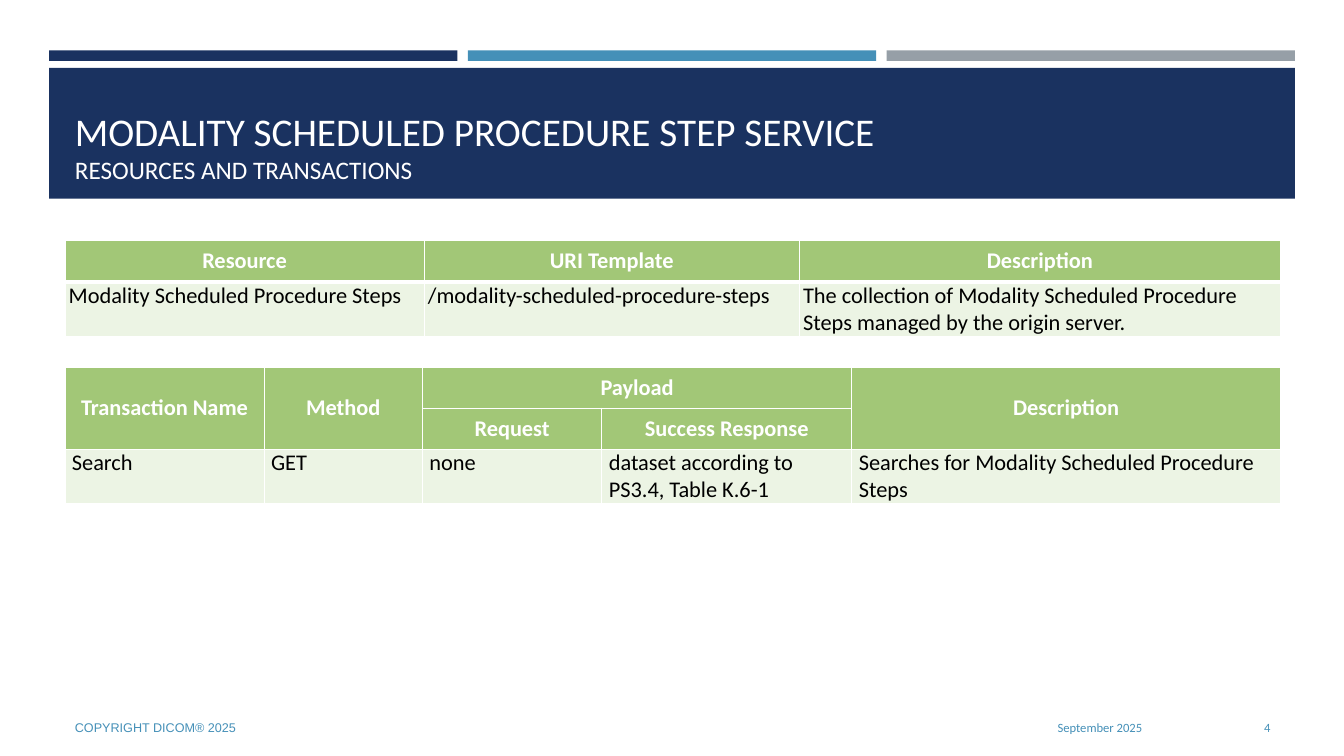
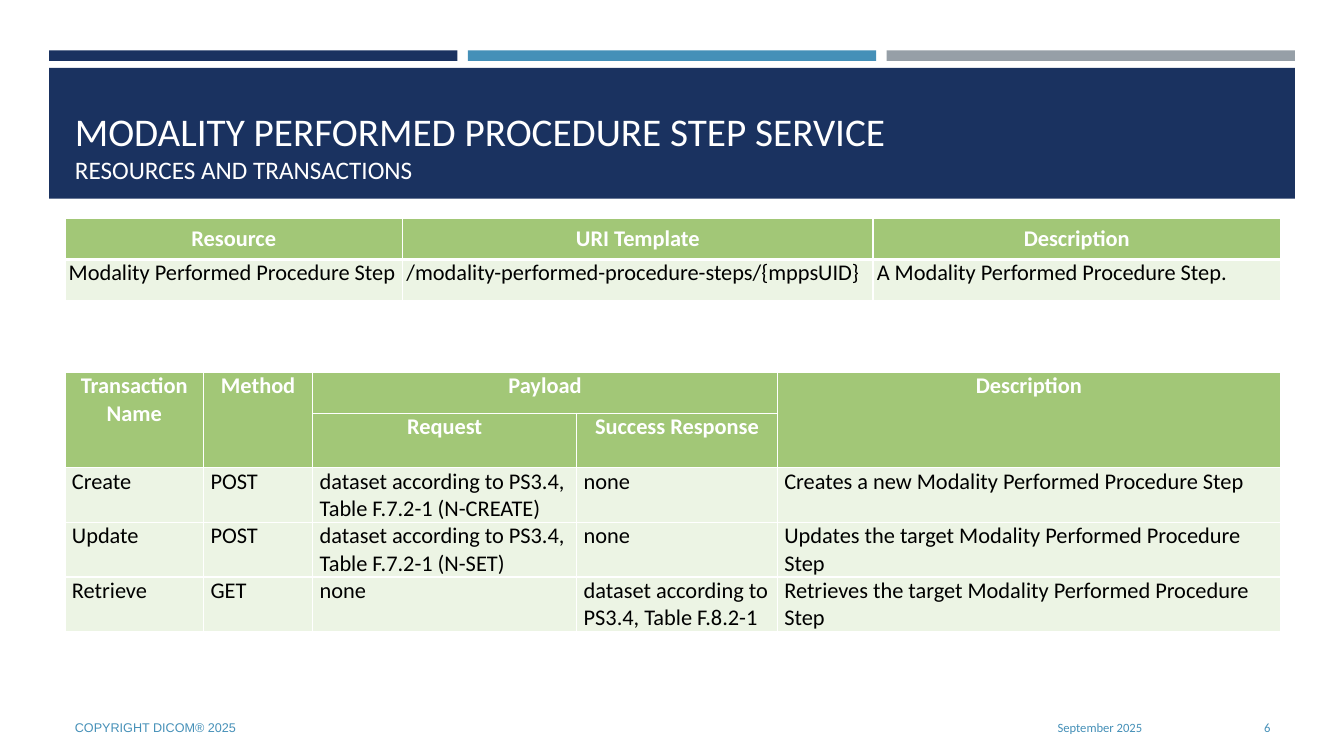
from lxml import etree
from pptx import Presentation
from pptx.dml.color import RGBColor
from pptx.enum.shapes import MSO_SHAPE
from pptx.enum.text import MSO_ANCHOR, PP_ALIGN
from pptx.oxml.ns import qn
from pptx.util import Pt

RECTANGLE = MSO_SHAPE.RECTANGLE
TOP, MIDDLE, BOTTOM = MSO_ANCHOR.TOP, MSO_ANCHOR.MIDDLE, MSO_ANCHOR.BOTTOM
LEFT, CENTER, RIGHT = PP_ALIGN.LEFT, PP_ALIGN.CENTER, PP_ALIGN.RIGHT

NAVY = RGBColor(0x1A, 0x32, 0x60)
BLUE = RGBColor(0x45, 0x90, 0xB8)
GRAY = RGBColor(0x96, 0x9F, 0xA7)
GREEN = RGBColor(0xA2, 0xC7, 0x77)
PALE_GREEN = RGBColor(0xEC, 0xF4, 0xE4)
WHITE = RGBColor(0xFF, 0xFF, 0xFF)
BLACK = RGBColor(0, 0, 0)

SLIDE_WIDTH, SLIDE_HEIGHT = 960, 540
BAND_LEFT, BAND_WIDTH, BAND_GAP = 35, 890, 7.5
CONTENT_LEFT, CONTENT_WIDTH = 46.4, 868.3
FOOTER_TOP, FOOTER_HEIGHT = 505.4, 28.8
ONE_LINE, TWO_LINES = 29.2, 39

RESOURCE_HEADER = ["Resource", "URI Template", "Description"]
TRANSACTION_HEADER = [
    ["Transaction Name", "Method", "Payload", "", "Description"],
    ["", "", "Request", "Success Response", ""],
]
# First and last (row, column) of each merged header cell
TRANSACTION_MERGES = [((0, 0), (1, 0)), ((0, 1), (1, 1)),
                      ((0, 2), (0, 3)), ((0, 4), (1, 4))]


def write(paragraph, text, *, size, color, font="Calibri", bold=False,
          align=LEFT, spacing=0):
    paragraph.alignment = align
    paragraph.space_before = paragraph.space_after = Pt(spacing)
    run = paragraph.add_run()
    run.text = text
    run.font.name = font
    run.font.size = Pt(size)
    run.font.bold = bold
    run.font.color.rgb = color


def add_band(slide, left, top, width, height, color):
    band = slide.shapes.add_shape(RECTANGLE, Pt(left), Pt(top),
                                  Pt(width), Pt(height))
    band.shadow.inherit = False
    band.fill.solid()
    band.fill.fore_color.rgb = color
    band.line.fill.background()


def add_text_area(slide, left, top, width, height, anchor):
    """Add an empty wrapping text box and return its first paragraph."""
    frame = slide.shapes.add_textbox(Pt(left), Pt(top), Pt(width),
                                     Pt(height)).text_frame
    frame.word_wrap = True
    frame.vertical_anchor = anchor
    return frame.paragraphs[0]


def add_title(slide, service):
    colors = [NAVY, BLUE, GRAY]
    width = (BAND_WIDTH - 2 * BAND_GAP) / 3
    for index, color in enumerate(colors):
        left = BAND_LEFT + index * (width + BAND_GAP)
        add_band(slide, left, 36, width, 7.5, color)
    add_band(slide, BAND_LEFT, 48.5, BAND_WIDTH, 93.5, NAVY)
    title = add_text_area(slide, CONTENT_LEFT, 55.5, CONTENT_WIDTH, 80, BOTTOM)
    write(title, service, size=28, color=WHITE)
    title.add_line_break()
    write(title, "RESOURCES AND TRANSACTIONS", size=18, color=WHITE)


def add_footer(slide, number):
    parts = [
        ("September 2025", 599, 224, RIGHT, "Calibri"),
        ("COPYRIGHT DICOM® 2025", CONTENT_LEFT, 544, LEFT, "Arial"),
        (str(number), 831.6, 83, RIGHT, "Calibri"),
    ]
    for text, left, width, align, font in parts:
        area = add_text_area(slide, left, FOOTER_TOP, width, FOOTER_HEIGHT, MIDDLE)
        write(area, text, size=9, color=BLUE, font=font, align=align)


def set_borders(cell, top, bottom):
    """Draw white cell borders; the sides are 1 pt wide."""
    properties = cell._tc.get_or_add_tcPr()
    for tag, width in (("a:lnL", 1), ("a:lnR", 1), ("a:lnT", top), ("a:lnB", bottom)):
        line = etree.SubElement(properties, qn(tag), w=str(Pt(width)))
        fill = etree.SubElement(line, qn("a:solidFill"))
        etree.SubElement(fill, qn("a:srgbClr"), val=str(WHITE))


def add_grid(slide, top, widths, heights, rows, *, header_rows, inset,
             header_rule=1, header_anchor=MIDDLE, merges=()):
    """Add a table; the last column takes the width that is left."""
    widths = [*widths, CONTENT_WIDTH - sum(widths)]
    table = slide.shapes.add_table(
        len(rows), len(widths), Pt(CONTENT_LEFT), Pt(top),
        Pt(CONTENT_WIDTH), Pt(sum(heights))).table
    table.horz_banding = False
    for column, width in zip(table.columns, widths):
        column.width = Pt(width)
    for row, height in zip(table.rows, heights):
        row.height = Pt(height)
    for first, last in merges:
        table.cell(*first).merge(table.cell(*last))

    for row_index, texts in enumerate(rows):
        header = row_index < header_rows
        top_rule = header_rule if row_index == header_rows else 1
        bottom_rule = header_rule if row_index == header_rows - 1 else 1
        for column_index, text in enumerate(texts):
            cell = table.cell(row_index, column_index)
            set_borders(cell, top_rule, bottom_rule)
            cell.fill.solid()
            cell.fill.fore_color.rgb = GREEN if header else PALE_GREEN
            cell.margin_left = cell.margin_right = Pt(inset)
            cell.margin_top = cell.margin_bottom = 0
            cell.vertical_anchor = header_anchor if header else TOP
            if text:
                write(cell.text_frame.paragraphs[0], text, size=16, bold=header,
                      color=WHITE if header else BLACK,
                      align=CENTER if header else LEFT, spacing=2)


def add_resources(slide, top, widths, resource, height):
    add_grid(slide, top, widths, [ONE_LINE, height], [RESOURCE_HEADER, resource],
             header_rows=1, inset=2.7, header_rule=3)


def add_transactions(slide, top, widths, transactions, subheader_height, anchor):
    heights = [ONE_LINE, subheader_height] + [TWO_LINES] * len(transactions)
    add_grid(slide, top, widths, heights, TRANSACTION_HEADER + transactions,
             header_rows=2, inset=5, header_anchor=anchor,
             merges=TRANSACTION_MERGES)


def build_scheduled(slide):
    add_title(slide, "MODALITY SCHEDULED PROCEDURE STEP SERVICE")
    add_resources(
        slide, 172, [256.6, 268],
        ["Modality Scheduled Procedure Steps", "/modality-scheduled-procedure-steps",
         "The collection of Modality Scheduled Procedure Steps managed by "
         "the origin server."], TWO_LINES)
    add_transactions(
        slide, 262.4, [142.3, 113, 128.2, 178.6],
        [["Search", "GET", "none", "dataset according to PS3.4, Table K.6-1",
          "Searches for Modality Scheduled Procedure Steps"]], ONE_LINE, MIDDLE)
    add_footer(slide, 4)


def build_performed(slide):
    add_title(slide, "MODALITY PERFORMED PROCEDURE STEP SERVICE")
    add_resources(
        slide, 156.2, [241.2, 336],
        ["Modality Performed Procedure Step",
         "/modality-performed-procedure-steps/{mppsUID}",
         "A Modality Performed Procedure Step."], ONE_LINE)
    add_transactions(
        slide, 266, [99, 78, 188.6, 143.3],
        [["Create", "POST", "dataset according to PS3.4, Table F.7.2-1 (N-CREATE)",
          "none", "Creates a new Modality Performed Procedure Step"],
         ["Update", "POST", "dataset according to PS3.4, Table F.7.2-1 (N-SET)",
          "none", "Updates the target Modality Performed Procedure Step"],
         ["Retrieve", "GET", "none", "dataset according to PS3.4, Table F.8.2-1",
          "Retrieves the target Modality Performed Procedure Step"]],
        TWO_LINES, TOP)
    add_footer(slide, 6)


def main():
    presentation = Presentation()
    presentation.slide_width = Pt(SLIDE_WIDTH)
    presentation.slide_height = Pt(SLIDE_HEIGHT)
    blank = presentation.slide_layouts[6]
    for build in (build_scheduled, build_performed):
        build(presentation.slides.add_slide(blank))
    presentation.save("out.pptx")


if __name__ == "__main__":
    main()
